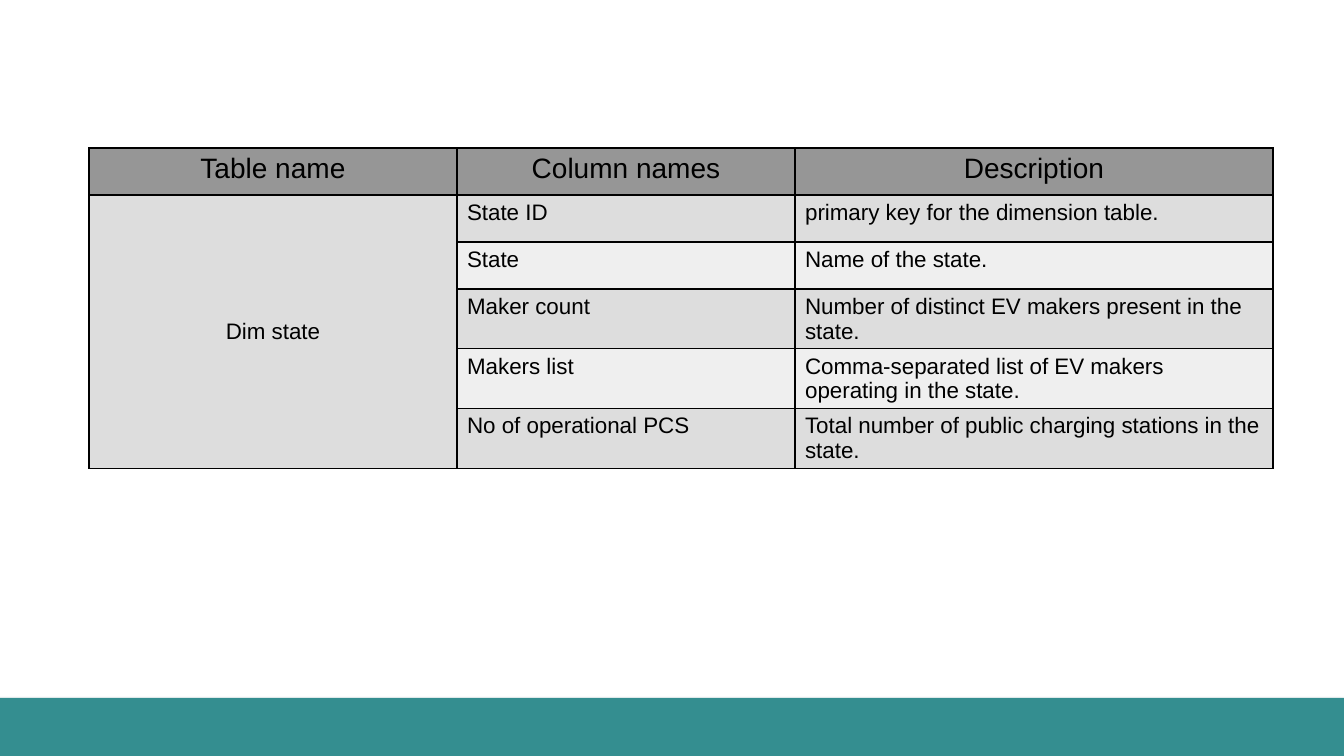
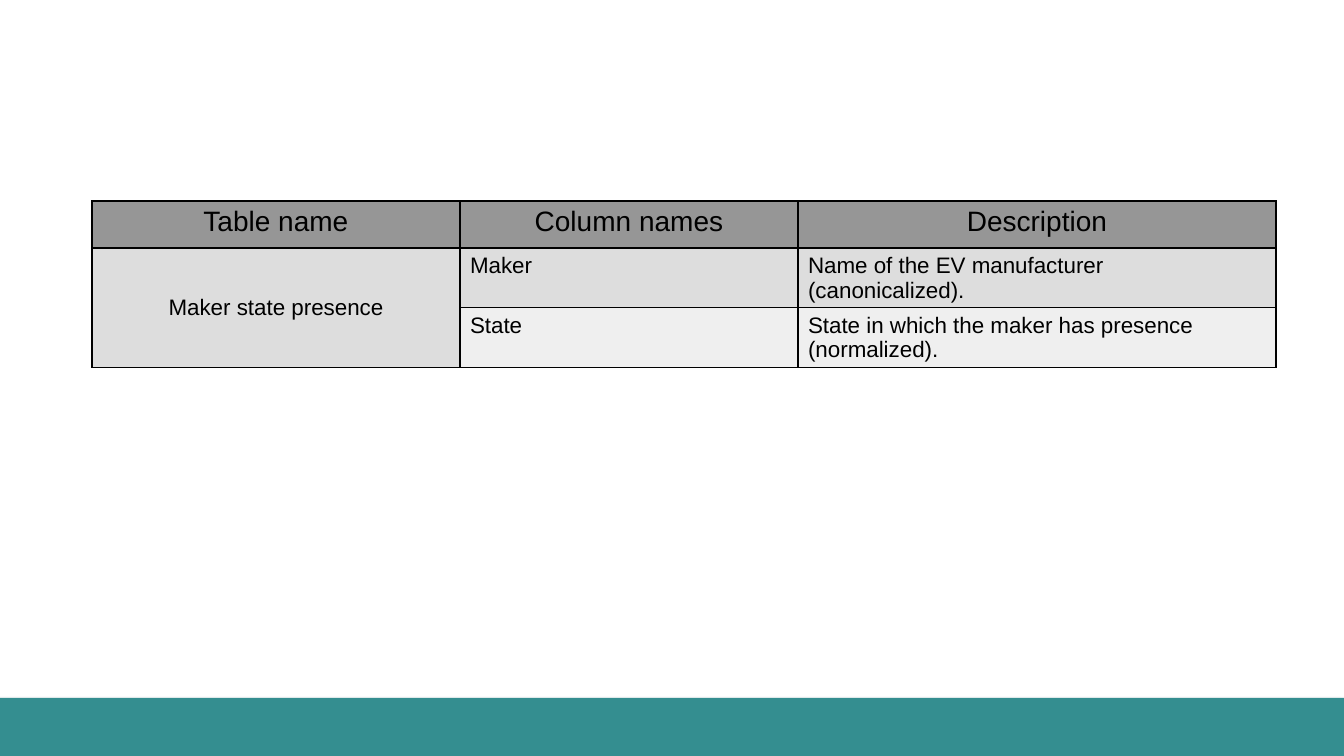
from lxml.etree import SubElement
from pptx import Presentation
from pptx.dml.color import RGBColor
from pptx.enum.shapes import MSO_SHAPE
from pptx.enum.text import MSO_ANCHOR, PP_ALIGN
from pptx.oxml.ns import qn
from pptx.util import Emu, Pt

EMU_PER_PX = 914400 / 100.8
WIDTH, HEIGHT = 1344, 756
BAND_TOP, BAND_HEIGHT = 698, 58
COLUMN_WIDTHS = (368, 338, 478)
ROW_HEIGHT = 47
HEADINGS = ("Table name", "Column names", "Description")
FONT = "Arial"
HEADER_SIZE, BODY_SIZE = 20, 16

BLACK = RGBColor(0x00, 0x00, 0x00)
TEAL = RGBColor(0x34, 0x8E, 0x90)
HEADER_GRAY = RGBColor(0x96, 0x96, 0x96)
ROW_GRAYS = (RGBColor(0xDD, 0xDD, 0xDD), RGBColor(0xEF, 0xEF, 0xEF))

STATE_ROWS = (
    ("State ID", "primary key for the dimension table."),
    ("State", "Name of the state."),
    ("Maker count", "Number of distinct EV makers present in the state."),
    ("Makers list", "Comma-separated list of EV makers operating in the state."),
    ("No of operational PCS", "Total number of public charging stations in the state."),
)
PRESENCE_ROWS = (
    ("Maker", "Name of the EV manufacturer (canonicalized)."),
    ("State", "State in which the maker has presence (normalized)."),
)


def px(length):
    return Emu(round(length * EMU_PER_PX))


class DictionaryDeck:
    def __init__(self):
        self.deck = Presentation()
        self.deck.slide_width, self.deck.slide_height = px(WIDTH), px(HEIGHT)
        self.page = None

    def add_page(self):
        self.page = self.deck.slides.add_slide(self.deck.slide_layouts[6])
        self.add_band()

    def add_band(self):
        band = self.page.shapes.add_shape(
            MSO_SHAPE.RECTANGLE, 0, px(BAND_TOP), px(WIDTH), px(BAND_HEIGHT))
        band.fill.solid()
        band.fill.fore_color.rgb = TEAL
        band.line.fill.background()
        band.shadow.inherit = False
        effects = band.element.spPr.find(qn("a:effectLst"))
        shadow = SubElement(effects, qn("a:outerShdw"), blurRad=str(Pt(4)),
                            dist=str(Pt(3)), dir=str(135 * 60000))
        color = SubElement(shadow, qn("a:srgbClr"), val=str(BLACK))
        SubElement(color, qn("a:alpha"), val="40000")

    def add_borders(self, cell):
        properties = cell._tc.get_or_add_tcPr()
        for side in ("lnL", "lnR", "lnT", "lnB"):
            line = SubElement(properties, qn(f"a:{side}"), w=str(Pt(1)))
            fill = SubElement(line, qn("a:solidFill"))
            SubElement(fill, qn("a:srgbClr"), val=str(BLACK))

    def fill_cell(self, cell, text, color, size, centered=False):
        self.add_borders(cell)
        cell.fill.solid()
        cell.fill.fore_color.rgb = color
        cell.text = text
        para = cell.text_frame.paragraphs[0]
        if centered:
            para.alignment = PP_ALIGN.CENTER
        para.font.name = FONT
        para.font.size = Pt(size)
        para.font.color.rgb = BLACK

    def add_dictionary(self, left, top, name, rows):
        count = len(rows) + 1
        table = self.page.shapes.add_table(
            count, len(HEADINGS), px(left), px(top),
            px(sum(COLUMN_WIDTHS)), px(count * ROW_HEIGHT)).table
        table.first_row = table.horz_banding = False
        for column, width in zip(table.columns, COLUMN_WIDTHS):
            column.width = px(width)
        for index, heading in enumerate(HEADINGS):
            self.fill_cell(table.cell(0, index), heading, HEADER_GRAY, HEADER_SIZE, True)
        for number, texts in enumerate(rows, 1):
            color = ROW_GRAYS[(number - 1) % 2]
            for index, text in enumerate(texts, 1):
                self.fill_cell(table.cell(number, index), text, color, BODY_SIZE)
            label = name if number == 1 else ""
            self.fill_cell(table.cell(number, 0), label, ROW_GRAYS[0], BODY_SIZE, True)
        table.cell(1, 0).merge(table.cell(count - 1, 0))
        table.cell(1, 0).vertical_anchor = MSO_ANCHOR.MIDDLE
        return table


def main():
    builder = DictionaryDeck()
    builder.add_page()
    states = builder.add_dictionary(89, 148, "Dim state", STATE_ROWS)
    states.cell(3, 2).vertical_anchor = MSO_ANCHOR.MIDDLE
    builder.add_page()
    builder.add_dictionary(92, 201, "Maker state presence", PRESENCE_ROWS)
    builder.deck.save("out.pptx")


if __name__ == "__main__":
    main()
